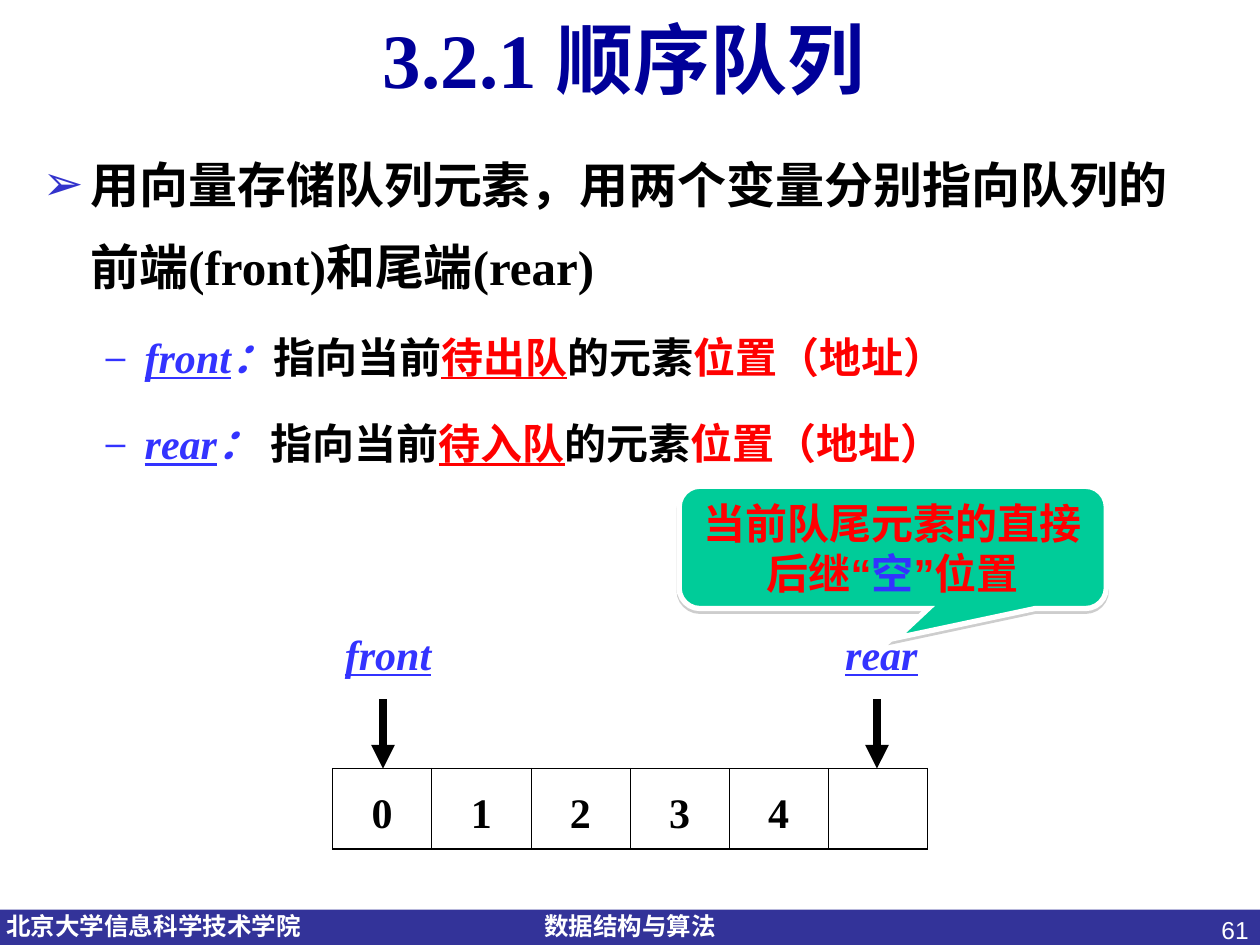
from lxml.etree import SubElement as Sub
from pptx import Presentation
from pptx.dml.color import RGBColor
from pptx.enum.shapes import MSO_CONNECTOR as Conn, MSO_SHAPE as Shape
from pptx.enum.text import (
    MSO_ANCHOR as Anchor, MSO_AUTO_SIZE as Fit, PP_ALIGN as Align)
from pptx.oxml.ns import qn
from pptx.util import Inches, Pt

SERIF, SANS = "Times New Roman", "Arial"
BLUE, RED, BLACK, WHITE = "3333FF", "FF0000", "000000", "FFFFFF"


def paint(part, color):
    if hasattr(part, "solid"):
        part.solid()
        part = part.fore_color
    else:
        part = part.color
    part.rgb = RGBColor.from_string(color)


def write(para, text, size=24, font=SERIF, east=SANS, color=BLACK, bold=True,
          italic=False, under=False):
    run = para.add_run()
    run.text = text
    face = run.font
    face.size, face.name = Pt(size), font
    face.bold, face.italic, face.underline = bold, italic, under
    paint(face, color)
    Sub(run._r.get_or_add_rPr(), qn("a:ea"), typeface=east)


def inset(frame, left=0.1, right=0.1):
    frame.margin_left, frame.margin_right = Inches(left), Inches(right)
    frame.margin_top = frame.margin_bottom = Inches(0.05)


def label(slide, box, text, align=Align.LEFT, left=0.1, right=0.1,
          wrap=False, **form):
    frame = slide.shapes.add_textbox(*map(Inches, box)).text_frame
    frame.word_wrap = wrap
    frame.auto_size = Fit.NONE if wrap else Fit.SHAPE_TO_FIT_TEXT
    inset(frame, left, right)
    para = frame.paragraphs[0]
    para.alignment = align
    write(para, text, **form)
    return frame


def footer(slide, box):
    x, y, w, h = box
    bar = slide.shapes.add_shape(Shape.RECTANGLE, *map(Inches, box))
    bar.shadow.inherit = False
    paint(bar.fill, "333399")
    bar.line.fill.background()
    form = dict(size=14, font=SANS, color=WHITE)
    label(slide, (x + 0.05, y - 0.04, 2.48, 0.34), "北京大学信息科学技术学院", left=0, **form)
    label(slide, (x + 4.32, y - 0.04, 1.5, 0.34), "数据结构与算法", left=0, **form)
    label(slide, (x + w - 2.32, y - 0.01, 2.33, 0.52), "61", Align.RIGHT,
          wrap=True, bold=False, **form)


def title(slide, box):
    form = dict(size=44, color="000099")
    frame = label(slide, box, "3.2.1 ", Align.CENTER, left=0.2, right=0.3,
                  wrap=True, **form)
    frame.vertical_anchor = Anchor.MIDDLE
    cjk = "Noto Sans CJK SC"
    write(frame.paragraphs[0], "顺序队列", font=cjk, east=cjk, **form)


def bullet(para, char, color, left, hang, scale=100):
    para.line_spacing = 1.4
    prop = para._p.get_or_add_pPr()
    prop.set("marL", str(Inches(left)))
    prop.set("indent", str(-Inches(hang)))
    Sub(Sub(prop, qn("a:buClr")), qn("a:srgbClr"), val=color)
    Sub(prop, qn("a:buSzPct"), val=str(scale * 1000))
    Sub(prop, qn("a:buFont"), typeface=SANS)
    Sub(prop, qn("a:buChar"), char=char)


def body(slide, box):
    frame = slide.shapes.add_textbox(*map(Inches, box)).text_frame
    frame.word_wrap = True
    inset(frame)
    para = frame.paragraphs[0]
    bullet(para, "➢", "3333CC", 0.38, 0.38)
    write(para, "用向量存储队列元素，用两个变量分别指向队列的前端(front)和尾端(rear)", size=28)
    for name, colon, state in (("front", "：", "待出队"), ("rear", "： ", "待入队")):
        para = frame.add_paragraph()
        para.level = 1
        para.space_before = Pt(9)
        bullet(para, "–", BLUE, 0.81, 0.31, 85)
        write(para, name, color=BLUE, italic=True, under=True)
        write(para, colon, color=BLUE, italic=True)
        write(para, "指向当前")
        write(para, state, color=RED, under=True)
        write(para, "的元素")
        write(para, "位置（地址）", color=RED)


def border(cell, **sides):
    prop = cell._tc.get_or_add_tcPr()
    for at, (side, width) in enumerate(sides.items()):
        line = prop.makeelement(qn("a:ln" + side), {"w": str(Pt(width))})
        Sub(Sub(line, qn("a:solidFill")), qn("a:srgbClr"), val=BLACK)
        prop.insert(at, line)


def queue(slide, box, items):
    x, y, w, h = box
    table = slide.shapes.add_table(1, len(items), *map(Inches, box)).table
    table.first_row = table.horz_banding = False
    last = len(items) - 1
    for col, item in enumerate(items):
        table.columns[col].width = Inches(w / len(items))
        cell = table.cell(0, col)
        paint(cell.fill, WHITE)
        inset(cell)
        para = cell.text_frame.paragraphs[0]
        para.alignment = Align.CENTER
        para.line_spacing = 1.35
        if item:
            write(para, item)
        border(cell, L=0.45 if col else 1.08, R=0.45 if col < last else 1.08,
               T=1.08, B=1.08)


def marker(slide, box, name, tip):
    x, y, w, h = box
    label(slide, (x, y, w, 0.5), name, Align.CENTER, color=BLUE,
          italic=True, under=True)
    arrow = slide.shapes.add_connector(
        Conn.STRAIGHT, *map(Inches, (tip, y + 0.61, tip, y + h)))
    arrow.line.width = Pt(4.5)
    paint(arrow.line, BLACK)
    Sub(arrow.line._get_or_add_ln(), qn("a:tailEnd"), type="triangle")
    Sub(arrow._element.spPr, qn("a:effectLst"))


def callout(slide, box):
    note = slide.shapes.add_shape(
        Shape.ROUNDED_RECTANGULAR_CALLOUT, *map(Inches, box))
    for at, value in enumerate((0.01, 0.74, 0.17)):
        note.adjustments[at] = value
    paint(note.fill, "00CC99")
    paint(note.line, WHITE)
    note.line.width = Pt(3)
    Sub(note.line._get_or_add_ln(), qn("a:miter"), lim="800000")
    note.shadow.inherit = False
    shade = Sub(note._element.spPr.find(qn("a:effectLst")), qn("a:outerShdw"),
                blurRad="0", dist=str(Pt(1.6)), dir="5400000", rotWithShape="0")
    tint = Sub(shade, qn("a:srgbClr"), val="808080")
    Sub(tint, qn("a:alpha"), val="38000")
    frame = note.text_frame
    frame.word_wrap = True
    frame.vertical_anchor = Anchor.MIDDLE
    inset(frame)
    para = frame.paragraphs[0]
    para.alignment = Align.CENTER
    for text, color in (("当前队尾元素的直接后继“", RED), ("空", BLUE), ("”位置", RED)):
        write(para, text, font=SANS, color=color)


def main():
    deck = Presentation()
    deck.slide_width, deck.slide_height = Inches(10), Inches(7.5)
    slide = deck.slides.add_slide(deck.slide_layouts[6])
    footer(slide, (0, 7.22, 10, 0.28))
    title(slide, (0, 0, 10, 0.91))
    body(slide, (0.24, 0.99, 9.45, 6.06))
    queue(slide, (2.64, 6.1, 4.72, 0.64), ["0", "1", "2", "3", "4", ""])
    marker(slide, (2.62, 4.94, 0.92, 1.16), "front", 3.04)
    marker(slide, (6.59, 4.94, 0.81, 1.16), "rear", 6.96)
    callout(slide, (5.39, 3.86, 3.39, 0.97))
    deck.save("out.pptx")


if __name__ == "__main__":
    main()
